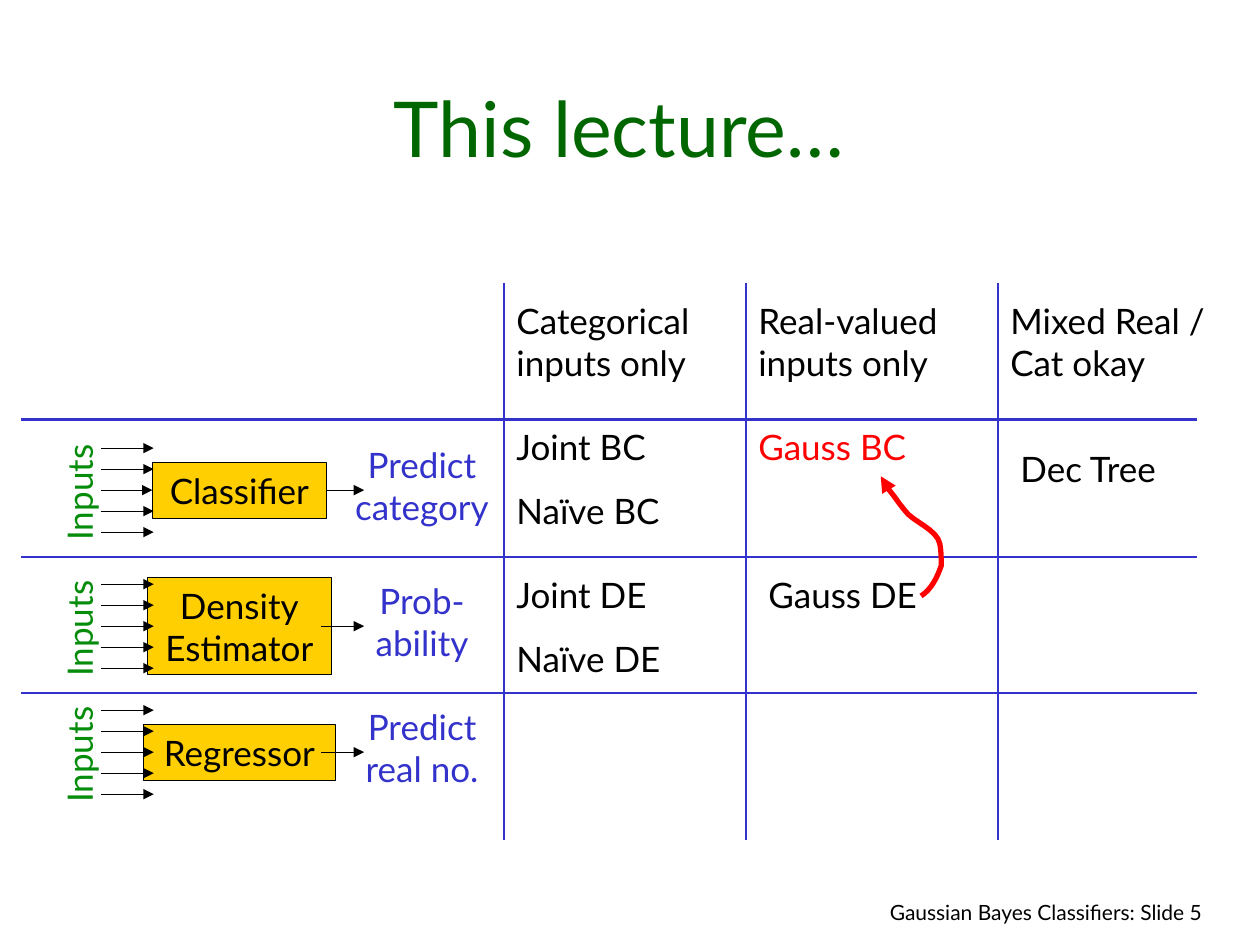
"""Build the lecture slide that maps learning tasks to the input types they accept."""
import dataclasses
import typing

import pptx
import pptx.dml.color
import pptx.enum.shapes
import pptx.enum.text
import pptx.oxml
import pptx.oxml.ns
import pptx.shapes.autoshape
import pptx.util

Inches = pptx.util.Inches
Align = pptx.enum.text.PP_ALIGN
Anchor = pptx.enum.text.MSO_ANCHOR
AutoSize = pptx.enum.text.MSO_AUTO_SIZE

BLACK, BLUE, RED = "000000", "3333CC", "FF0000"
TITLE_GREEN, INPUT_GREEN, GOLD = "006600", "048C0A", "FFCF01"
COLUMNS = (4, 5.92, 7.92)
ROWS = (3.33, 4.42, 5.5)
ARROW_GAP = 1 / 6
JOIN_TOLERANCE = 0.045
CURVE_START = (7.31, 4.73)
CURVES = (
    ((7.39, 4.68), (7.44, 4.58), (7.47, 4.49)),
    ((7.47, 4.43), (7.47, 4.38), (7.46, 4.32)),
    ((7.44, 4.2), (7.24, 4.14), (7.18, 4.05)),
    ((7.13, 3.99), (7.1, 3.94), (7.05, 3.88)),
    ((7.02, 3.84), (7.03, 3.8), (6.99, 3.78)),
)


@dataclasses.dataclass(frozen=True)
class Task:
    name: tuple[str, ...]
    result: tuple[str, ...]
    middle: float
    width: float
    height: float
    result_width: float


@dataclasses.dataclass(frozen=True)
class Label:
    lines: tuple[str, ...]
    left: float
    top: float
    width: float = 1.67
    height: float = 0.44
    color: str = BLACK
    size: float = 20
    align: typing.Any = Align.LEFT
    anchor: typing.Any = Anchor.TOP
    auto_size: typing.Any = AutoSize.SHAPE_TO_FIT_TEXT
    wrap: bool = True
    rotation: float = 0
    gap: float = 0


TASKS = (
    Task(("Classifier",), ("Predict", "category"), 3.89, 1.38, 0.44, 1.34),
    Task(("Density", "Estimator"), ("Prob-", "ability"), 4.97, 1.46, 0.77, 0.98),
    Task(("Regressor",), ("Predict", "real no."), 5.97, 1.52, 0.44, 1.19),
)
HEADINGS = ("Categorical inputs only", "Real-valued inputs only", "Mixed Real / Cat okay")
CELLS = (
    Label(("Dec Tree",), 8, 3.5),
    Label(("Joint BC", "Naïve BC"), 4, 3.33, height=0.94, gap=12.5),
    Label(("Joint DE", "Naïve DE"), 4, 4.5, height=0.94, gap=12.5),
    Label(("Gauss DE",), 6, 4.5),
    Label(("Gauss BC",), 5.92, 3.33, color=RED),
)


def rgb(value: str) -> pptx.dml.color.RGBColor:
    """Turn a hex string into a colour."""
    return pptx.dml.color.RGBColor.from_string(value)


def apply(target: typing.Any, values: dict[str, typing.Any]) -> None:
    """Set every named attribute on the target."""
    for name, value in values.items():
        setattr(target, name, value)


def write(box: typing.Any, label: Label) -> None:
    """Put the label's lines into a box with the label's format."""
    frame = box.text_frame
    apply(frame, {"word_wrap": label.wrap, "auto_size": label.auto_size,
                  "vertical_anchor": label.anchor})
    for index, line in enumerate(label.lines):
        para = frame.add_paragraph() if index else frame.paragraphs[0]
        para.alignment = label.align
        if index:
            para.space_before = pptx.util.Pt(label.gap)
        span = para.add_run()
        span.text = line
        apply(span.font, {"name": "Lato", "size": pptx.util.Pt(label.size)})
        span.font.color.rgb = rgb(label.color)


def add_label(shapes: typing.Any, label: Label) -> None:
    """Add a text box for the label."""
    box = shapes.add_textbox(*map(Inches, (label.left, label.top, label.width, label.height)))
    box.rotation = label.rotation
    write(box, label)


def style_line(shape: typing.Any, color: str, width: float, arrow: bool) -> None:
    """Colour an outline, drop its shadow and give it an optional arrowhead."""
    shape.line.color.rgb = rgb(color)
    shape.line.width = pptx.util.Pt(width)
    properties = shape._element.spPr
    if arrow:
        head = pptx.oxml.parse_xml(
            f'<a:tailEnd {pptx.oxml.ns.nsdecls("a")} type="triangle"/>')
        properties.find(pptx.oxml.ns.qn("a:ln")).append(head)
    properties.append(pptx.oxml.parse_xml(f'<a:effectLst {pptx.oxml.ns.nsdecls("a")}/>'))


def add_line(shapes: typing.Any, start: tuple[float, float], end: tuple[float, float],
             color: str = BLUE, width: float = 1.5, arrow: bool = False) -> typing.Any:
    """Add a straight connector between two points."""
    line = shapes.add_connector(pptx.enum.shapes.MSO_CONNECTOR.STRAIGHT,
                                *map(Inches, (*start, *end)))
    style_line(line, color, width, arrow)
    return line


def add_task(page: typing.Any, task: Task) -> None:
    """Add a task box with its inputs, its result and its arrows."""
    shapes = page.shapes.add_group_shape().shapes
    add_label(shapes, Label(("Inputs",), 0.11, task.middle - 0.2, 1.04, color=INPUT_GREEN,
                            align=Align.CENTER, wrap=False, rotation=270))
    left = 1.9 - task.width / 2
    box = shapes.add_shape(
        pptx.enum.shapes.MSO_SHAPE.RECTANGLE,
        *map(Inches, (left, task.middle - task.height / 2, task.width, task.height)))
    box.fill.solid()
    box.fill.fore_color.rgb = rgb(GOLD)
    style_line(box, BLACK, 0.25, False)
    write(box, Label(task.name, 0, 0, align=Align.CENTER, anchor=Anchor.MIDDLE, wrap=False))
    add_label(shapes, Label(task.result, 3.35 - task.result_width / 2, task.middle - 0.42,
                            task.result_width, 0.77, BLUE, align=Align.CENTER, wrap=False))
    for step in range(-2, 3):
        height = task.middle + step * ARROW_GAP
        arrow = add_line(shapes, (0.8, height), (1.22, height), BLACK, 0.25, True)
        if step == 0 and abs(1.22 - left) < JOIN_TOLERANCE:
            arrow.end_connect(box, 1)
    arrow = add_line(shapes, (2.55, task.middle), (2.89, task.middle), BLACK, 0.25, True)
    if abs(left + task.width - 2.55) < JOIN_TOLERANCE:
        arrow.begin_connect(box, 3)


def add_curve(page: typing.Any) -> None:
    """Add the red curved arrow from the estimator to the classifier."""
    points, start = [], CURVE_START
    for first, second, end in CURVES:
        for step in range(1, 9):
            t = step / 8
            weights = ((1 - t) ** 3, 3 * t * (1 - t) ** 2, 3 * t ** 2 * (1 - t), t ** 3)
            corners = zip(start, first, second, end)
            points.append(tuple(Inches(sum(w * c for w, c in zip(weights, axis)))
                                for axis in corners))
        start = end
    builder = page.shapes.build_freeform(*map(Inches, CURVE_START))
    builder.add_line_segments(points, close=False)
    curve = builder.convert_to_shape()
    curve.fill.background()
    style_line(curve, RED, 3, True)


def main() -> None:
    """Build the slide and save it."""
    deck = pptx.Presentation()
    apply(deck, {"slide_width": Inches(10), "slide_height": Inches(7.5)})
    page = deck.slides.add_slide(deck.slide_layouts[6])
    add_label(page.shapes, Label(("Gaussian Bayes Classifiers: Slide 5",), 5.72, 7.09, 3.92,
                                 0.33, size=12, align=Align.RIGHT))
    add_label(page.shapes, Label(("This lecture…",), 0.25, 0.25, 9.33, 1.17, TITLE_GREEN, 44,
                                 Align.CENTER, Anchor.BOTTOM, AutoSize.NONE))
    for task in TASKS:
        add_task(page, task)
    for top in ROWS:
        add_line(page.shapes, (0.17, top), (9.5, top))
    for left, heading in zip(COLUMNS, HEADINGS):
        add_line(page.shapes, (left, 6.67), (left, 2.25))
        add_label(page.shapes, Label((heading,), left, 2.33, 1.92, 0.77))
    for cell in CELLS:
        add_label(page.shapes, cell)
    add_curve(page)
    deck.save("out.pptx")


if __name__ == "__main__":
    main()
